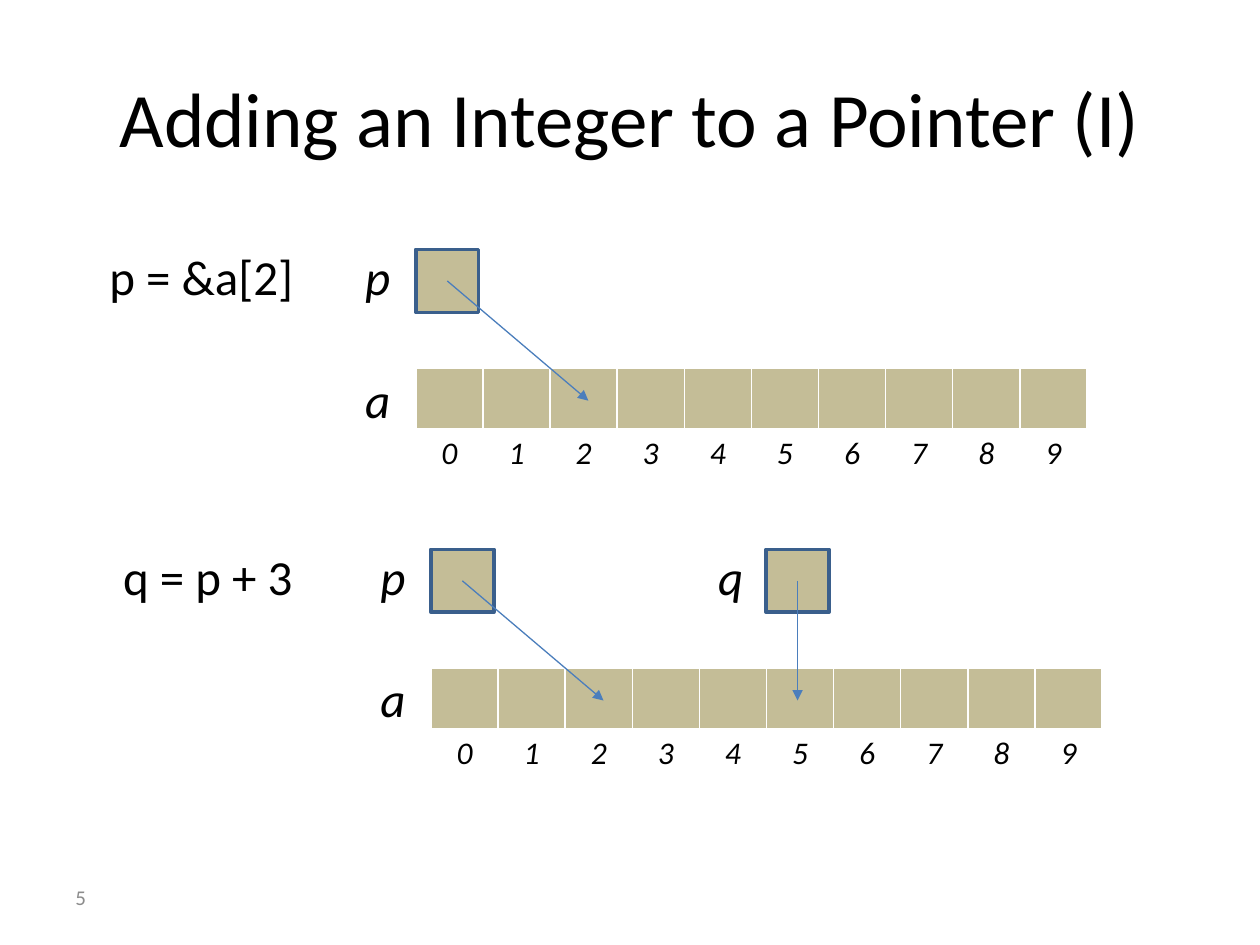
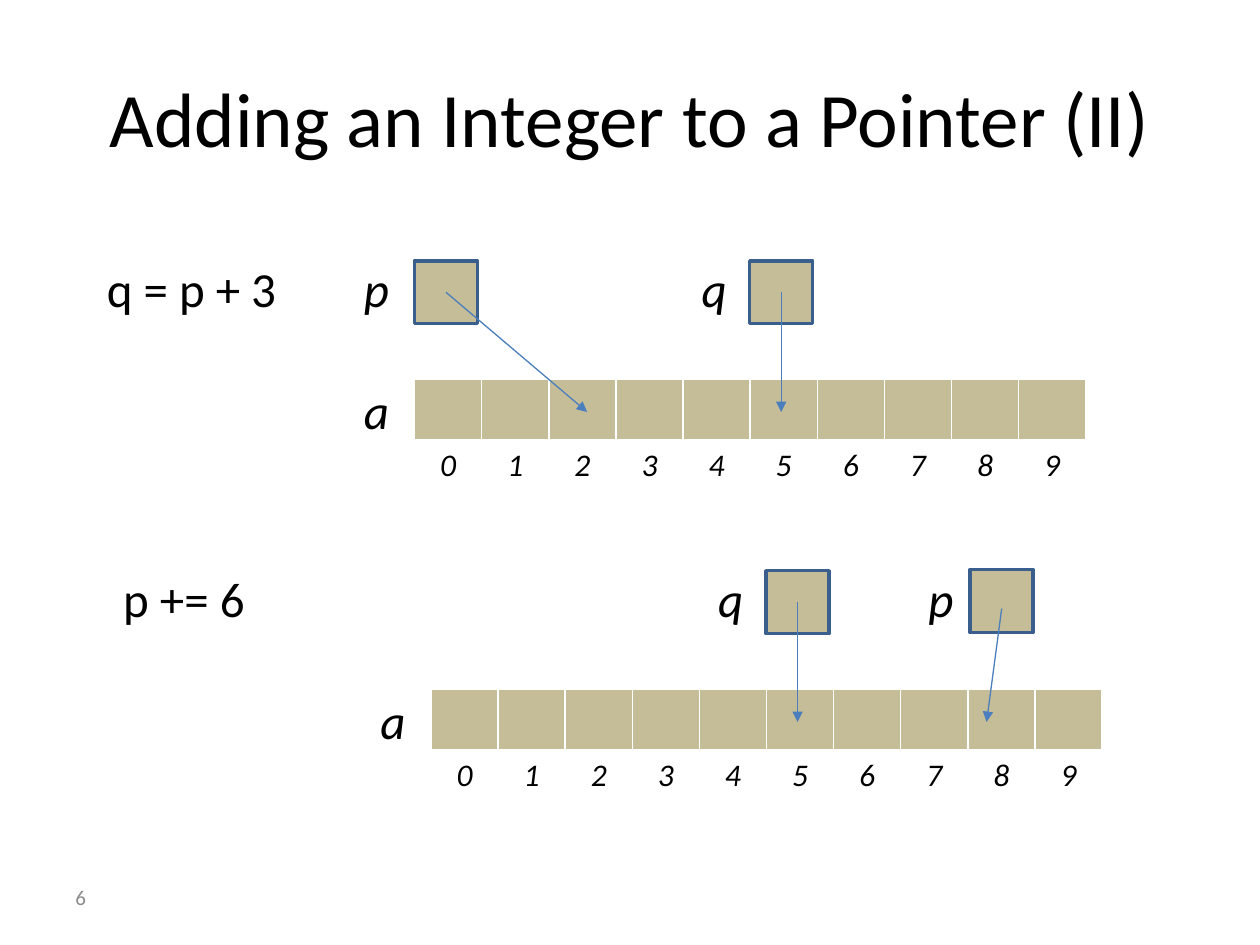
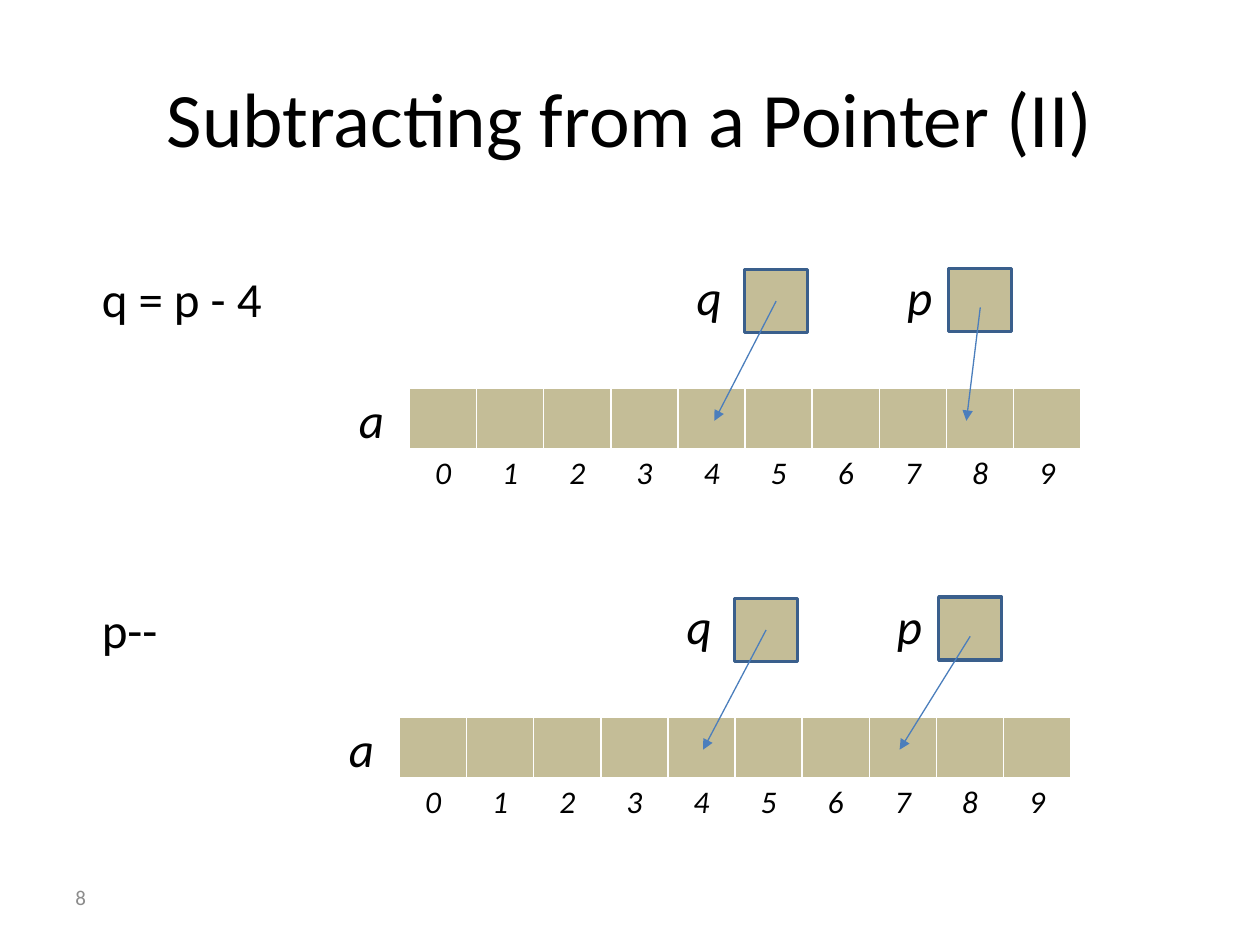
import pptx
import pptx.dml.color
import pptx.enum.shapes
import pptx.enum.text
import pptx.oxml.ns
import pptx.util
from lxml import etree

Inches = pptx.util.Inches
Pt = pptx.util.Pt
PP_ALIGN = pptx.enum.text.PP_ALIGN
MIDDLE = pptx.enum.text.MSO_ANCHOR.MIDDLE
GROW = pptx.enum.text.MSO_AUTO_SIZE.SHAPE_TO_FIT_TEXT

COLORS = {
    "text": "000000",
    "number": "8C8C8C",
    "memory": "C4BD97",
    "outline": "3A5F8C",
    "arrow": "4B7EBC",
    "paper": "FFFFFF",
}
FORMATS = {
    "title": {"size": Pt(44)},
    "number": {"size": Pt(12)},
    "expression": {"size": Pt(28)},
    "variable": {"size": Pt(28), "italic": True},
    "index": {"size": Pt(18), "italic": True, "bold": False},
}
CELL_COUNT = 10
ARRAY_WIDTH = 5.33
BOX_SIZE = 0.5
BORDERS = {"lnL": 1, "lnR": 1, "lnT": 1, "lnB": 3}

POINTER_SLOTS = {
    "first": {"box": (0, -0.94), "label": -0.5, "start": 0.25},
    "middle": {"box": (2.66, -0.94), "label": -0.48, "start": 0.25},
    "last": {"box": (4.28, -0.95), "label": -0.43, "start": 0.31},
}

SLIDES = [
    ("Adding an Integer to a Pointer (I)", "5", [
        ("p = &a[2]", (0.77, 1.91), (3.3, 2.92), [("p", "first", 1.37)]),
        ("q = p + 3", (0.88, 4.29), (3.42, 5.3),
         [("p", "first", 1.37), ("q", "middle", 2.91)]),
    ]),
    ("Adding an Integer to a Pointer (II)", "6", [
        ("q = p + 3", (0.75, 2), (3.29, 3.01),
         [("p", "first", 1.37), ("q", "middle", 2.91)]),
        ("p += 6", (0.88, 4.46), (3.42, 5.47),
         [("p", "last", 4.41), ("q", "middle", 2.91)]),
    ]),
    ("Subtracting from a Pointer (II)", "8", [
        ("q = p - 4", (0.71, 2.08), (3.25, 3.08),
         [("p", "last", 4.42), ("q", "middle", 2.42)]),
        ("p--", (0.71, 4.71), (3.17, 5.69),
         [("p", "last", 3.97), ("q", "middle", 2.41)]),
    ]),
]


def rgb(color):
    return pptx.dml.color.RGBColor.from_string(COLORS[color])


class PointerDeck:
    def __init__(self):
        self.deck = pptx.Presentation()
        self.deck.slide_width = Inches(10)
        self.deck.slide_height = Inches(7.5)
        self.slide = None

    def add_words(self, frame, words, style, color="text", align=PP_ALIGN.LEFT):
        paragraph = frame.paragraphs[0]
        paragraph.alignment = align
        run = paragraph.add_run()
        run.text = words
        run.font.name = "Calibri"
        run.font.color.rgb = rgb(color)
        for attribute, value in FORMATS[style].items():
            setattr(run.font, attribute, value)

    def start_slide(self, heading, number):
        self.slide = self.deck.slides.add_slide(self.deck.slide_layouts[5])
        title = self.slide.shapes.title
        placement = {"left": 0.5, "top": 0.3, "width": 9, "height": 1.25}
        for attribute, value in placement.items():
            setattr(title, attribute, Inches(value))
        title.text_frame.vertical_anchor = MIDDLE
        self.add_words(title.text_frame, heading, "title", align=PP_ALIGN.CENTER)
        self.text(number, 0.5, 6.92, 2.33, 0.4, "number", "number").vertical_anchor = MIDDLE

    def text(self, words, left, top, width, height, style, color="text"):
        frame = self.slide.shapes.add_textbox(
            Inches(left), Inches(top), Inches(width), Inches(height)).text_frame
        frame.word_wrap = True
        self.add_words(frame, words, style, color)
        return frame

    def label(self, words, left, top, width=0.75, style="variable"):
        self.text(words, left, top, width, 0.57, style).auto_size = GROW

    def border(self, cell):
        properties = cell._tc.get_or_add_tcPr()
        for side, points in BORDERS.items():
            edge = etree.SubElement(properties, pptx.oxml.ns.qn(f"a:{side}"), w=str(Pt(points)))
            fill = etree.SubElement(edge, pptx.oxml.ns.qn("a:solidFill"))
            etree.SubElement(fill, pptx.oxml.ns.qn("a:srgbClr"), val=COLORS["paper"])

    def row(self, left, top, height, color):
        table = self.slide.shapes.add_table(
            1, CELL_COUNT, Inches(left), Inches(top), Inches(ARRAY_WIDTH), Inches(height)).table
        table.first_row = False
        table.horz_banding = False
        for column in table.columns:
            column.width = Inches(ARRAY_WIDTH / CELL_COUNT)
        cells = list(table.iter_cells())
        for cell in cells:
            self.border(cell)
            cell.fill.solid()
            cell.fill.fore_color.rgb = rgb(color)
        return cells

    def array(self, left, top):
        self.row(left, top, 0.5, "memory")
        for index, cell in enumerate(self.row(left, top + 0.48, 0.41, "paper")):
            self.add_words(cell.text_frame, str(index), "index", align=PP_ALIGN.CENTER)
        self.label("a", left - 0.5, top - 0.04)

    def box(self, left, top):
        square = self.slide.shapes.add_shape(
            pptx.enum.shapes.MSO_SHAPE.RECTANGLE,
            Inches(left), Inches(top), Inches(BOX_SIZE), Inches(BOX_SIZE))
        square.shadow.inherit = False
        square.fill.solid()
        square.fill.fore_color.rgb = rgb("memory")
        square.line.color.rgb = rgb("outline")
        square.line.width = Pt(2)

    def arrow(self, *ends):
        link = self.slide.shapes.add_connector(
            pptx.enum.shapes.MSO_CONNECTOR.STRAIGHT, *map(Inches, ends))
        link.line.color.rgb = rgb("arrow")
        link.line.width = Pt(0.75)
        etree.SubElement(link.line._get_or_add_ln(), pptx.oxml.ns.qn("a:tailEnd"), type="triangle")
        etree.SubElement(link._element.spPr, pptx.oxml.ns.qn("a:effectLst"))

    def pointer(self, name, slot, target, left, top):
        place = POINTER_SLOTS[slot]
        box_left, box_top = left + place["box"][0], top + place["box"][1]
        self.box(box_left, box_top)
        self.label(name, box_left + place["label"], top - 1.01)
        self.arrow(box_left + BOX_SIZE / 2, box_top + place["start"], left + target, top + 0.26)

    def diagram(self, expression, expression_at, array_at, pointers):
        self.array(*array_at)
        self.label(expression, *expression_at, width=1.8, style="expression")
        for name, slot, target in pointers:
            self.pointer(name, slot, target, *array_at)


def main():
    lesson = PointerDeck()
    for heading, number, diagrams in SLIDES:
        lesson.start_slide(heading, number)
        for diagram in diagrams:
            lesson.diagram(*diagram)
    lesson.deck.save("out.pptx")


if __name__ == "__main__":
    main()
